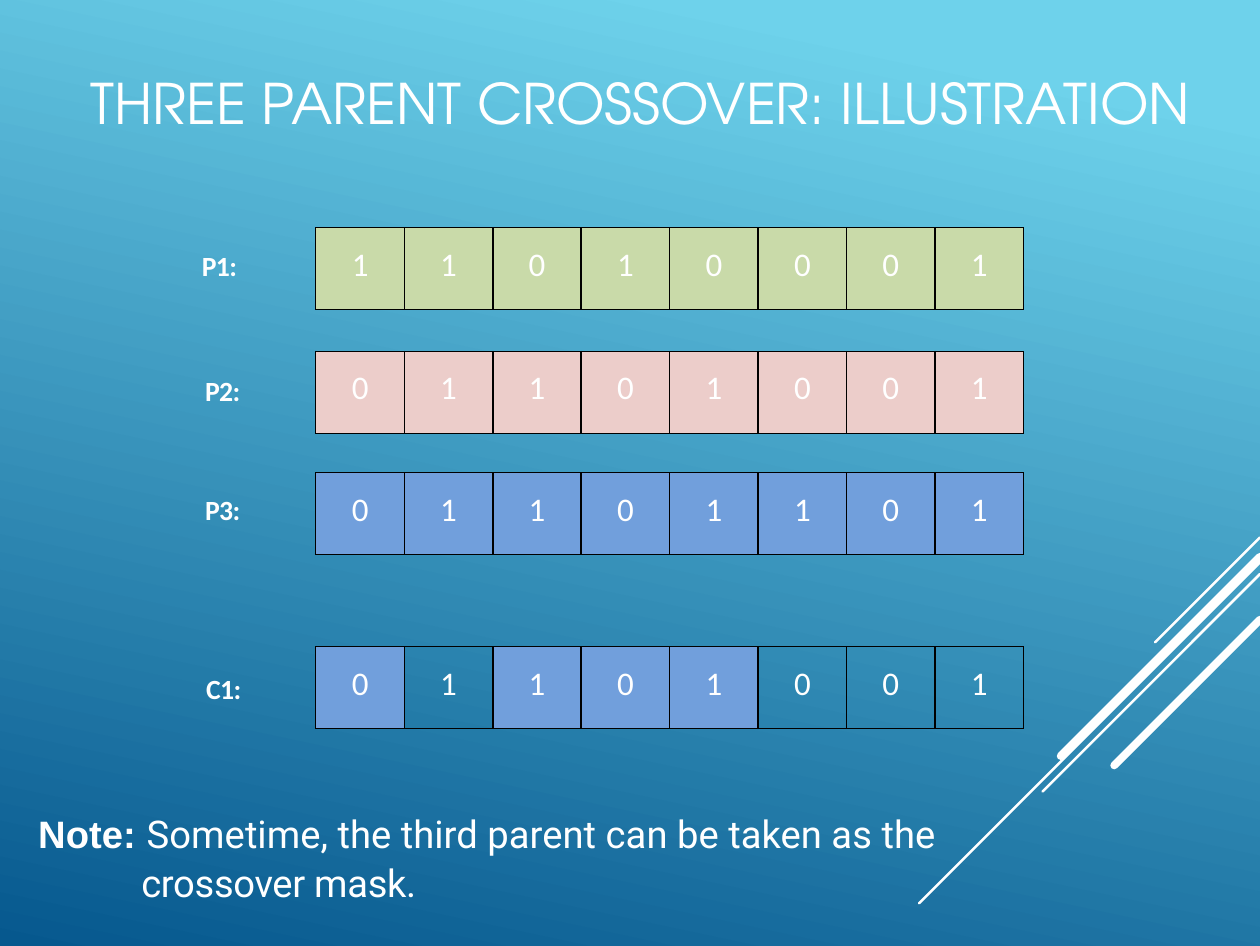
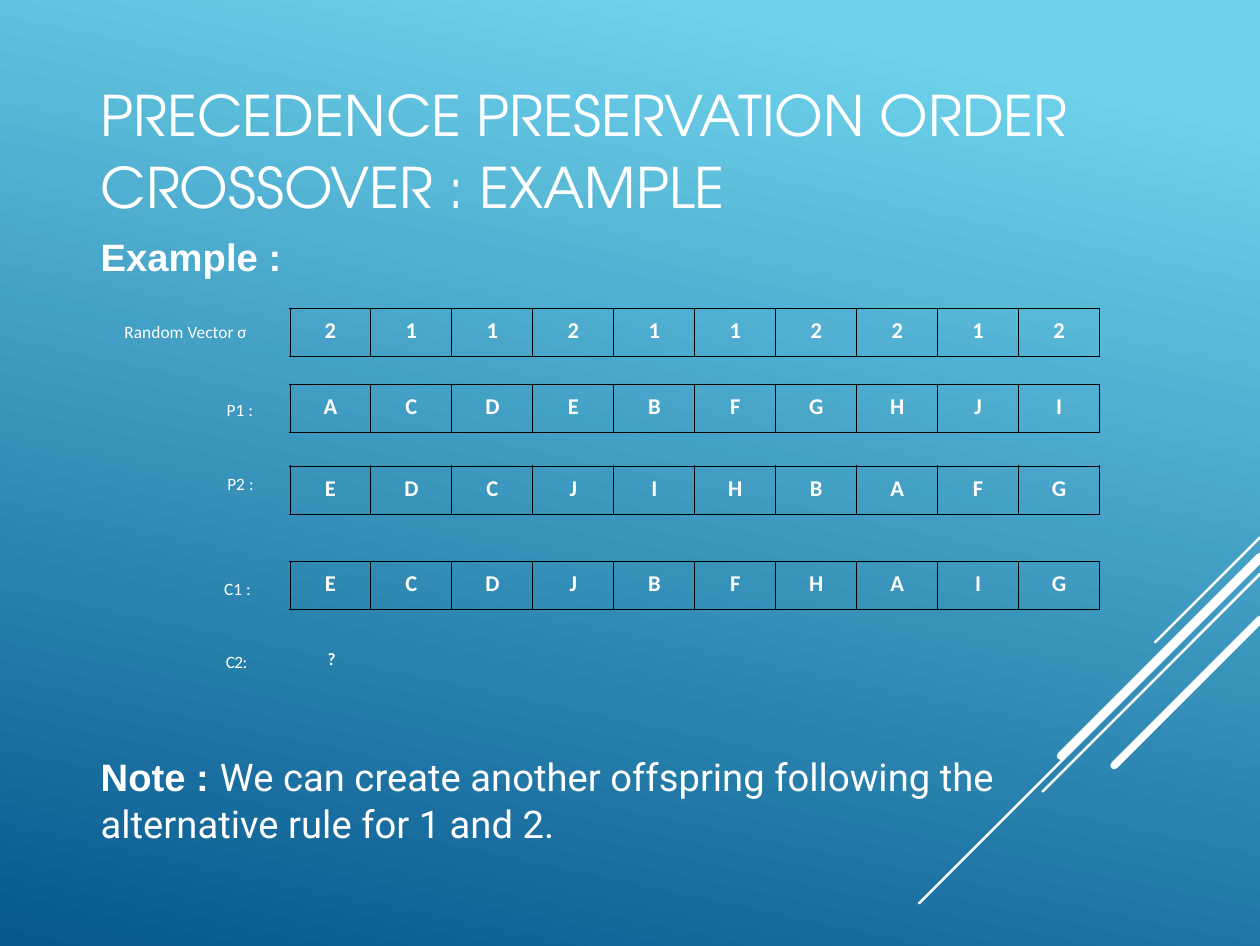
from lxml import etree
from pptx import Presentation
from pptx.dml.color import RGBColor
from pptx.enum import shapes, text
from pptx.oxml.ns import qn
from pptx.util import Pt

WIDE, HIGH = 363, 272.5
HUES = {
    "sky": "6ED2EB",
    "deep": "06588E",
    "white": "FFFFFF",
    "black": "000000",
    "green": "C9DAA9",
    "pink": "ECCDCA",
    "blue": "719FDC",
}
STREAKS = [(154.8, 30.2, 0.75), (162, 98.2, 0.75), (165.4, 62.6, 0.75),
           (160.4, 57.4, 2.25), (178.5, 42, 2.25)]


def hue(name):
    return RGBColor.from_string(HUES[name])


def style(run, face, size, bold=False, track=0):
    font = run.font
    font.name, font.size, font.bold = face, Pt(size), bold
    font.color.rgb = hue("white")
    props = run._r.get_or_add_rPr()
    props.set("kern", "0")
    props.set("spc", str(track))


def fit(frame, top=0):
    frame.word_wrap = True
    frame.auto_size = text.MSO_AUTO_SIZE.NONE
    frame.margin_left = frame.margin_right = frame.margin_bottom = 0
    frame.margin_top = Pt(top)


def place(shape, box):
    shape.left, shape.top, shape.width, shape.height = map(Pt, box)


def paint(master):
    fill = master.background.fill
    fill.gradient()
    fill.gradient_angle = 258
    for stop, name, spot in zip(fill.gradient_stops, ("sky", "deep"), (0.1, 1)):
        stop.color.rgb = hue(name)
        stop.position = spot


def streak(slide, layout):
    for num, (top, run, width) in enumerate(STREAKS):
        line = slide.shapes.add_connector(
            shapes.MSO_CONNECTOR.STRAIGHT,
            Pt(WIDE), Pt(top), Pt(WIDE - run), Pt(top + run))
        line.line.color.rgb = hue("white")
        line.line.width = Pt(width)
        node = line.element
        node.spPr.find(qn("a:ln")).set("cap", "rnd")
        etree.SubElement(node.spPr, qn("a:effectLst"))
        node.nvCxnSpPr.cNvPr.set("id", str(20 + num))
        layout.shapes.element.append(node)


def head(slide, words, box, space=1):
    title = slide.shapes.title
    place(title, box)
    frame = title.text_frame
    frame.text = words
    fit(frame)
    frame.vertical_anchor = text.MSO_ANCHOR.MIDDLE
    para = frame.paragraphs[0]
    para.alignment = text.PP_ALIGN.LEFT
    para.line_spacing = space
    style(para.runs[0], "TeX Gyre Adventor", 16.1)


def label(slide, words, left, top, size, bold=False, track=0):
    box = slide.shapes.add_textbox(Pt(left), Pt(top), Pt(45), Pt(size * 1.5))
    frame = box.text_frame
    fit(frame, 1.4)
    frame.text = words
    para = frame.paragraphs[0]
    para.space_before = Pt(1.4)
    style(para.runs[0], "Calibri", size, bold, track)


def note(slide, lead, rest, box, space=1, more=None):
    frame = slide.shapes.add_textbox(*map(Pt, box)).text_frame
    fit(frame, 0.7)
    frame.text = lead
    para = frame.paragraphs[0]
    style(para.runs[0], "Arial", 11, True)
    if rest:
        run = para.add_run()
        run.text = rest
        style(run, "Roboto", 11)
    if more:
        tail = frame.add_paragraph()
        tail.text = more
        style(tail.runs[0], "Roboto", 11, track=-10)
        tail._p.get_or_add_pPr().set("marL", str(Pt(29.7)))
    for para in frame.paragraphs:
        para.space_before = Pt(0.9)
        para.line_spacing = space


def edge(cell, side, width):
    props = cell._tc.get_or_add_tcPr()
    line = etree.SubElement(props, qn("a:ln" + side), w=str(Pt(width)))
    solid = etree.SubElement(line, qn("a:solidFill"))
    etree.SubElement(solid, qn("a:srgbClr"), val=HUES["black"])


def genes(slide, codes, left, top, step, high, size, pad,
          bold=False, rule=0.25, tint=None, picks=None):
    count = len(codes)
    grid = slide.shapes.add_table(
        1, count, Pt(left), Pt(top), Pt(step * count), Pt(high)).table
    grid.first_row = grid.horz_banding = False
    grid.rows[0].height = Pt(high)
    for col, code in enumerate(codes):
        grid.columns[col].width = Pt(step)
        cell = grid.cell(0, col)
        cell.margin_left = cell.margin_right = cell.margin_bottom = 0
        cell.margin_top = Pt(pad)
        cell.text = code
        para = cell.text_frame.paragraphs[0]
        para.alignment = text.PP_ALIGN.CENTER
        style(para.runs[0], "Calibri", size, bold)
        edge(cell, "L", rule if col else 0.25)
        edge(cell, "R", rule if col < count - 1 else 0.25)
        edge(cell, "T", 0.25)
        edge(cell, "B", 0.25)
        if tint and (picks is None or col in picks):
            cell.fill.solid()
            cell.fill.fore_color.rgb = hue(tint)
        else:
            cell.fill.background()


def triple(slide):
    head(slide, "THREE PARENT CROSSOVER: ILLUSTRATION", (26.2, 18.9, 331, 20.9))
    rows = [
        ("P1:", 58.2, 70.3, "11010001", 65.5, "green", None),
        ("P2:", 59.1, 106.3, "01101001", 101.2, "pink", None),
        ("P3:", 59.1, 140.5, "01101101", 136.1, "blue", None),
        ("C1:", 59.4, 192.2, "01101001", 186.2, "blue", (0, 2, 3, 4)),
    ]
    for name, left, mid, codes, top, tint, picks in rows:
        label(slide, name, left, mid, 8, True, -20)
        genes(slide, codes, 91, top, 25.5, 23.7, 9.5, 5,
              rule=0.5, tint=tint, picks=picks)
    note(slide, "Note: ", "Sometime, the third parent can be taken as the",
         (11, 232.6, 342, 29), more="crossover mask.")


def order(slide):
    head(slide, "PRECEDENCE PRESERVATION ORDER CROSSOVER : EXAMPLE",
         (29, 23.8, 294, 37.4), 1.07)
    note(slide, "Example :", "", (29, 66.4, 60, 15))
    rows = [
        ("Random Vector σ", 35.9, 91.2, "2112112212", 88.7),
        ("P1 :", 65.3, 113.6, "ACDEBFGHJI", 110.6),
        ("P2 :", 65.5, 135, "EDCJIHBAFG", 134.2),
        ("C1 :", 64.6, 165.2, "ECDJBFHAIG", 161.7),
    ]
    for name, left, mid, codes, top in rows:
        label(slide, name, left, mid, 5)
        genes(slide, codes, 83.5, top, 23.33, 14, 6.5, 2.6, bold=True)
    label(slide, "C2:", 65.1, 186.2, 5, track=-20)
    label(slide, "?", 94.4, 185.4, 5, True)
    note(slide, "Note : ", "We can create another offspring following the "
         "alternative rule for 1 and 2.", (29, 216, 300, 28), 1.03)


def main():
    deck = Presentation()
    deck.slide_width, deck.slide_height = Pt(WIDE), Pt(HIGH)
    paint(deck.slide_master)
    layout = deck.slide_layouts[5]
    first, second = (deck.slides.add_slide(layout) for _ in range(2))
    streak(first, layout)
    triple(first)
    order(second)
    deck.save("out.pptx")


if __name__ == "__main__":
    main()
